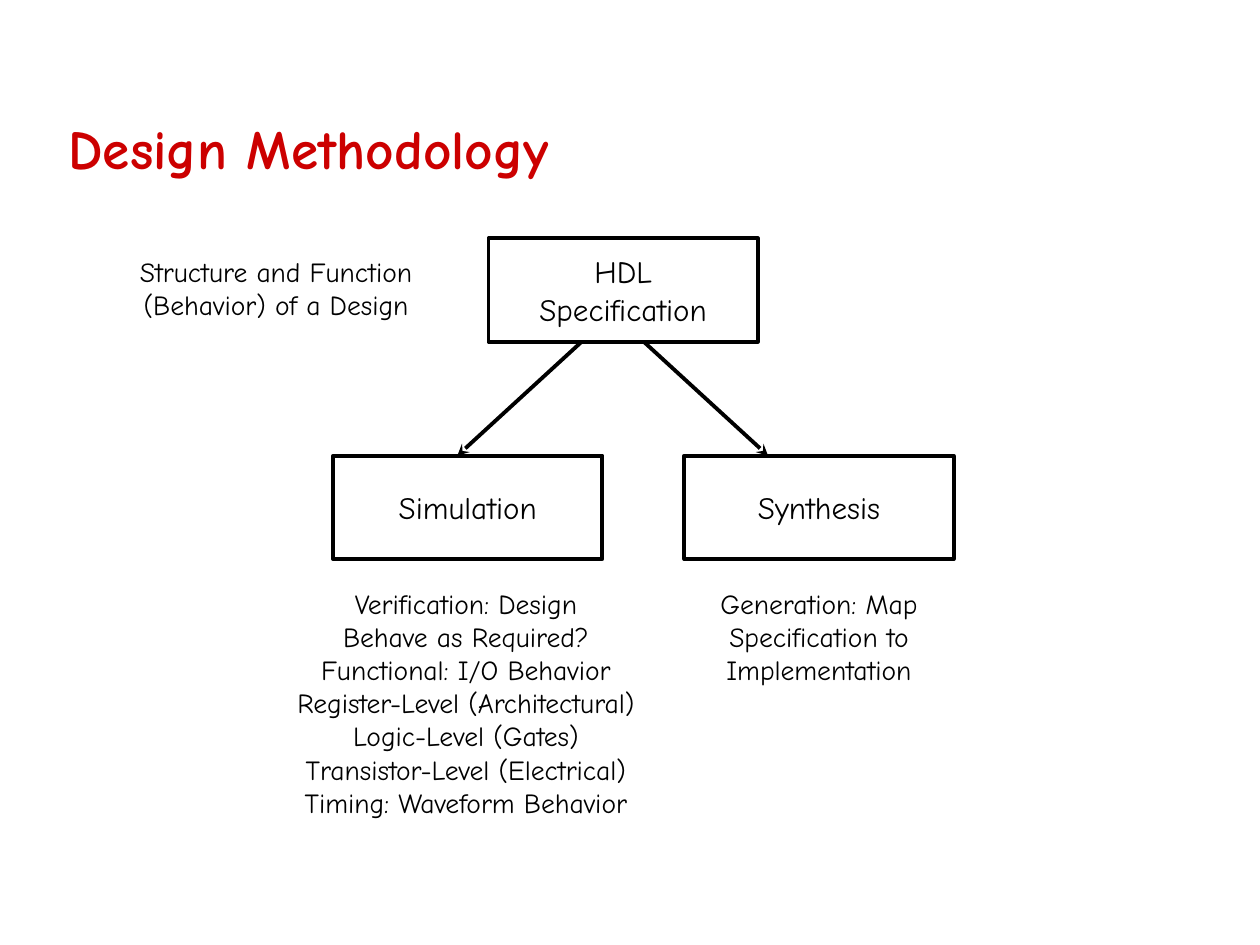
"""Build the Design Methodology slide."""
from pptx import Presentation
from pptx import util as u
from pptx.dml.color import RGBColor
from pptx.enum import shapes, text
from pptx.oxml import parse_xml
from pptx.oxml.ns import nsdecls, qn

SCALE = 6350
SIZE = (1460, 1095)
FONT = "Comic Neue"
COLORS = {"title": "CC0000", "ink": "000000"}

TITLE = ("Design Methodology", (65, 82, 1241, 134))
BOX_SIZE = (312, 120)
BOXES = {
    "HDL\nSpecification": (566, 276),
    "Simulation": (386, 528),
    "Synthesis": (793, 528),
}
NOTES = [
    (["Structure and Function\n(Behavior) of a Design"], (148, 288, 344, 92)),
    (["Verification: Design", "Behave as Required?", "Functional: I/O Behavior",
      "Register-Level (Architectural)", "Logic-Level (Gates)",
      "Transistor-Level (Electrical)", "Timing: Waveform Behavior"],
     (327, 673, 426, 284)),
    (["Generation: Map", "Specification to", "Implementation"],
     (820, 673, 258, 130)),
]
ARROW_CENTER, ARROW_TOP, ARROW_BOTTOM = 710, 396, 528
ARROW_NEAR, ARROW_FAR = 36, 180


def px(*values):
    return [u.Emu(v * SCALE) for v in values]


def rgb(name):
    return RGBColor.from_string(COLORS[name])


def write(shape, lines, size, color="ink", bold=False,
          align=text.PP_ALIGN.CENTER, **frame):
    tf = shape.text_frame
    margins = {"margin_left": u.Inches(0.1), "margin_right": u.Inches(0.1),
               "margin_top": u.Inches(0.05), "margin_bottom": u.Inches(0.05)}
    for key, value in {**margins, **frame}.items():
        setattr(tf, key, value)
    for i, line in enumerate(lines):
        p = tf.add_paragraph() if i else tf.paragraphs[0]
        p.text = line
        p.alignment = align
        for r in p.runs:
            for key, value in {"name": FONT, "size": u.Pt(size), "bold": bold}.items():
                setattr(r.font, key, value)
            r.font.color.rgb = rgb(color)


def outline(line):
    line.color.rgb = rgb("ink")
    line.width = u.Pt(2.25)


def add_box(s, label, place):
    sp = s.shapes.add_shape(shapes.MSO_SHAPE.RECTANGLE, *px(*place, *BOX_SIZE))
    sp.shadow.inherit = False
    sp.fill.background()
    outline(sp.line)
    write(sp, [label], 18, word_wrap=False,
          vertical_anchor=text.MSO_ANCHOR.MIDDLE)


def add_note(s, lines, place):
    sp = s.shapes.add_textbox(*px(*place))
    write(sp, lines, 16, word_wrap=False,
          auto_size=text.MSO_AUTO_SIZE.SHAPE_TO_FIT_TEXT)


def add_arrow(s, side):
    ends = px(ARROW_CENTER + side * ARROW_NEAR, ARROW_TOP,
              ARROW_CENTER + side * ARROW_FAR, ARROW_BOTTOM)
    c = s.shapes.add_connector(shapes.MSO_CONNECTOR.STRAIGHT, *ends)
    outline(c.line)
    props = c._element.spPr
    props.find(qn("a:ln")).append(
        parse_xml(f'<a:tailEnd {nsdecls("a")} type="stealth"/>'))
    props.append(parse_xml(f'<a:effectLst {nsdecls("a")}/>'))


def main():
    prs = Presentation()
    prs.slide_width, prs.slide_height = px(*SIZE)
    s = prs.slides.add_slide(prs.slide_layouts[5])
    label, place = TITLE
    title = s.shapes.title
    title.left, title.top, title.width, title.height = px(*place)
    write(title, [label], 32, "title", True, text.PP_ALIGN.LEFT, word_wrap=True,
          vertical_anchor=text.MSO_ANCHOR.BOTTOM)
    for label, place in BOXES.items():
        add_box(s, label, place)
    for lines, place in NOTES:
        add_note(s, lines, place)
    for side in (-1, 1):
        add_arrow(s, side)
    prs.save("out.pptx")


if __name__ == "__main__":
    main()
